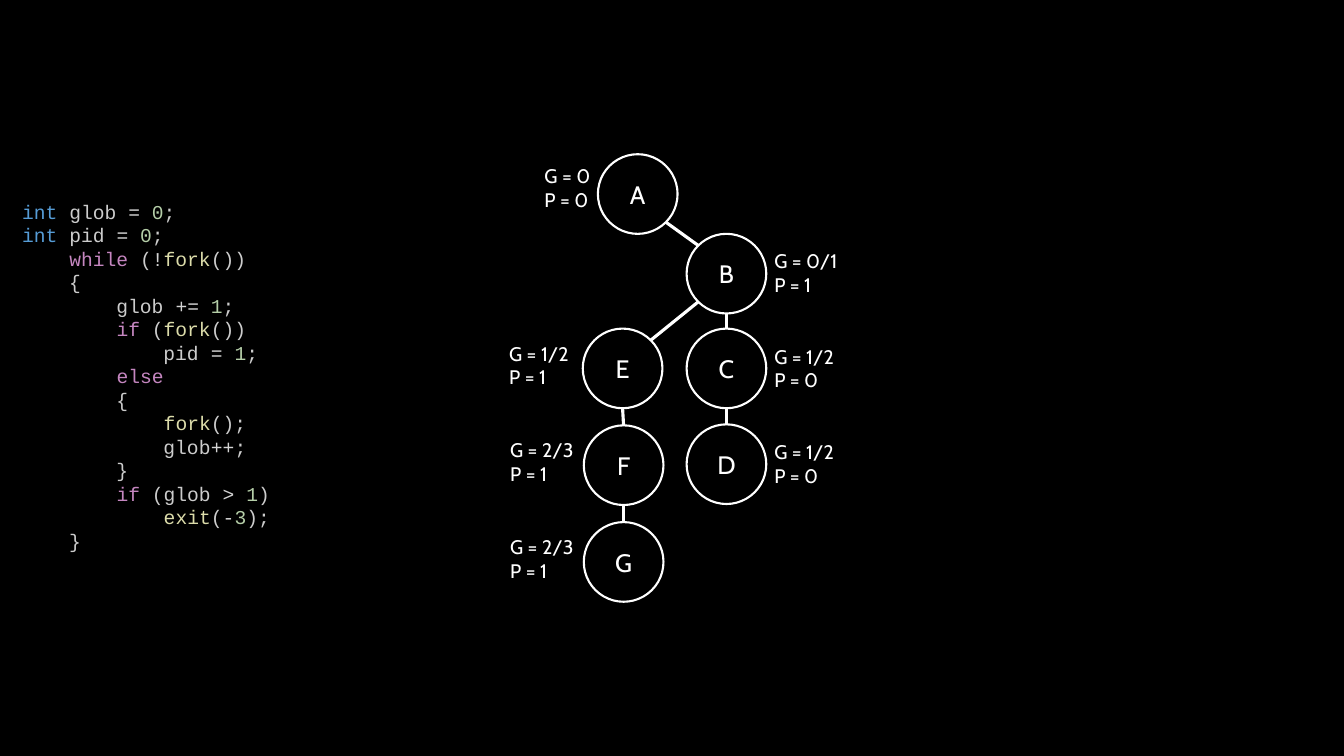
from math import cos, radians, sin

from lxml.etree import SubElement
from pptx import Presentation
from pptx.dml.color import RGBColor
from pptx.enum.shapes import MSO_CONNECTOR, MSO_SHAPE
from pptx.enum.text import MSO_ANCHOR, MSO_AUTO_SIZE, PP_ALIGN
from pptx.oxml.ns import qn
from pptx.util import Inches, Pt

COLORS = {
    "background": "000000",
    "white": "FFFFFF",
    "type": "569CD6",
    "plain": "CCCCCC",
    "operator": "D4D4D4",
    "number": "B5CEA8",
    "keyword": "C586C0",
    "function": "DCDCAA",
}
DIAMETER = 0.79
RADIUS = DIAMETER / 2

# Each line: indent level, then (colour, text) tokens
CODE = [
    (0, ("type", "int"), ("plain", " glob "), ("operator", "= "), ("number", "0"), ("plain", ";")),
    (0, ("type", "int"), ("plain", " pid "), ("operator", "= "), ("number", "0"), ("plain", ";")),
    (1, ("keyword", "while"), ("plain", " ("), ("operator", "!"), ("function", "fork"),
     ("plain", "())")),
    (1, ("plain", "{")),
    (2, ("plain", "glob "), ("operator", "+= "), ("number", "1"), ("plain", ";")),
    (2, ("keyword", "if"), ("plain", " ("), ("function", "fork"), ("plain", "())")),
    (3, ("plain", "pid "), ("operator", "= "), ("number", "1"), ("plain", ";")),
    (2, ("keyword", "else")),
    (2, ("plain", "{")),
    (3, ("function", "fork"), ("plain", "();")),
    (3, ("plain", "glob"), ("operator", "++"), ("plain", ";")),
    (2, ("plain", "}")),
    (2, ("keyword", "if"), ("plain", " (glob "), ("operator", "> "), ("number", "1"),
     ("plain", ")")),
    (3, ("function", "exit"), ("plain", "("), ("operator", "-"), ("number", "3"),
     ("plain", ");")),
    (1, ("plain", "}")),
]

# Process: circle left and top, label offset from it, label width, G and P
PROCESSES = {
    "A": (5.93, 1.53, -0.58, 0.05, 0.59, "0", "0"),
    "B": (6.81, 2.32, 0.82, 0.10, 0.76, "0/1", "1"),
    "C": (6.81, 3.26, 0.82, 0.11, 0.76, "1/2", "0"),
    "D": (6.81, 4.21, 0.82, 0.11, 0.76, "1/2", "0"),
    "E": (5.78, 3.26, -0.78, 0.08, 0.76, "1/2", "1"),
    "F": (5.79, 4.22, -0.78, 0.08, 0.76, "2/3", "1"),
    "G": (5.79, 5.18, -0.78, 0.08, 0.76, "2/3", "1"),
}

# Parent, child, and the angle at which the line leaves the parent
FORKS = [("A", "B", 45), ("B", "C", 90), ("C", "D", 90),
         ("B", "E", 135), ("E", "F", 90), ("F", "G", 90)]


def rgb(name):
    return RGBColor.from_string(COLORS[name])


def rim_point(process, angle):
    """Point on a process circle, with the angle clockwise from the right."""
    left, top = PROCESSES[process][:2]
    return (Inches(left + RADIUS + RADIUS * cos(radians(angle))),
            Inches(top + RADIUS + RADIUS * sin(radians(angle))))


class ForkSlide:
    label_font = "Cabin"
    code_font = "Courier New"
    inset = Inches(0.05)

    def __init__(self, presentation):
        self.slide = presentation.slides.add_slide(presentation.slide_layouts[6])
        self.slide.background.fill.solid()
        self.slide.background.fill.fore_color.rgb = rgb("background")

    def run(self, paragraph, text, color, size, font):
        run = paragraph.add_run()
        run.text = text
        run.font.name = font
        run.font.size = Pt(size)
        run.font.color.rgb = rgb(color)

    def text_frame(self, left, top, width, height, wrap):
        box = self.slide.shapes.add_textbox(
            Inches(left), Inches(top), Inches(width), Inches(height))
        frame = box.text_frame
        frame.word_wrap = wrap
        frame.auto_size = MSO_AUTO_SIZE.SHAPE_TO_FIT_TEXT
        frame.margin_left = frame.margin_right = self.inset
        frame.margin_top = frame.margin_bottom = self.inset
        return frame

    def code(self, lines, left, top, width, height):
        frame = self.text_frame(left, top, width, height, wrap=True)
        for number, (level, *tokens) in enumerate(lines):
            paragraph = frame.add_paragraph() if number else frame.paragraphs[0]
            paragraph.line_spacing = Pt(16.8)
            if level:
                self.run(paragraph, "    " * level, "plain", 14, self.code_font)
            for color, text in tokens:
                self.run(paragraph, text, color, 14, self.code_font)

    def process(self, name, left, top):
        circle = self.slide.shapes.add_shape(
            MSO_SHAPE.OVAL, Inches(left), Inches(top), Inches(DIAMETER), Inches(DIAMETER))
        circle.shadow.inherit = False
        circle.fill.background()
        circle.line.color.rgb = rgb("white")
        circle.line.width = Pt(1.5)
        frame = circle.text_frame
        frame.vertical_anchor = MSO_ANCHOR.MIDDLE
        frame.margin_left = frame.margin_right = self.inset
        frame.margin_top = frame.margin_bottom = self.inset
        paragraph = frame.paragraphs[0]
        paragraph.alignment = PP_ALIGN.CENTER
        self.run(paragraph, name, "white", 18, self.label_font)

    def values(self, left, top, width, glob, pid):
        frame = self.text_frame(left, top, width, 0.57, wrap=False)
        self.run(frame.paragraphs[0], f"G = {glob}", "white", 14, self.label_font)
        self.run(frame.add_paragraph(), f"P = {pid}", "white", 14, self.label_font)

    def fork(self, parent, child, angle):
        line = self.slide.shapes.add_connector(
            MSO_CONNECTOR.STRAIGHT, *rim_point(parent, angle), *rim_point(child, angle + 180))
        line.line.color.rgb = rgb("white")
        line.line.width = Pt(2.25)
        SubElement(line._element.spPr, qn("a:effectLst"))


def main():
    presentation = Presentation()
    presentation.slide_width = Inches(13.33)
    presentation.slide_height = Inches(7.5)
    slide = ForkSlide(presentation)
    slide.code(CODE, 0.17, 1.93, 3.06, 3.64)
    for name, (left, top, shift_x, shift_y, width, glob, pid) in PROCESSES.items():
        slide.process(name, left, top)
        slide.values(left + shift_x, top + shift_y, width, glob, pid)
    for parent, child, angle in FORKS:
        slide.fork(parent, child, angle)
    presentation.save("out.pptx")


if __name__ == "__main__":
    main()
